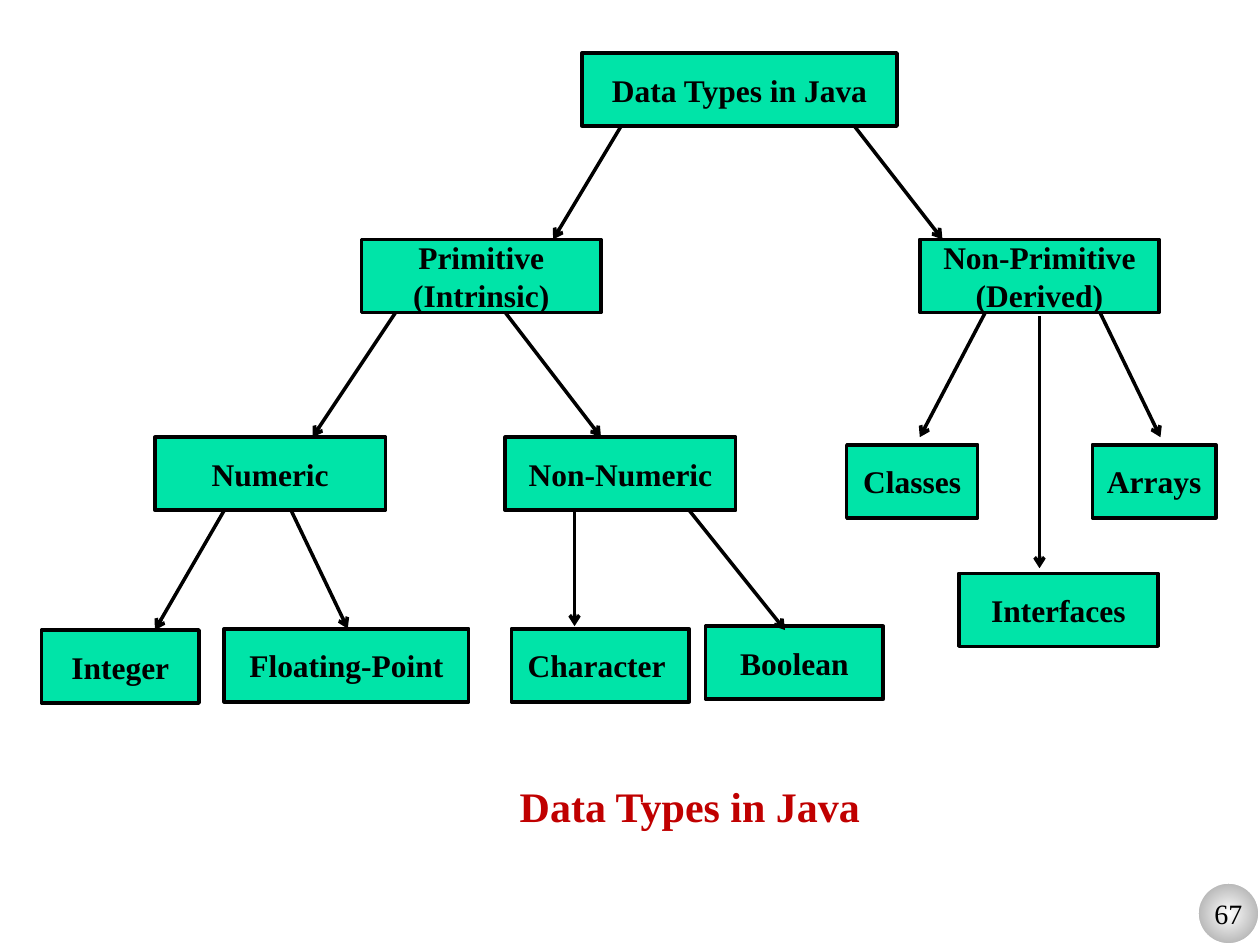
import pptx
import pptx.dml.color
import pptx.enum.shapes
import pptx.enum.text
import pptx.oxml
import pptx.oxml.ns
import pptx.util
from lxml import etree

Inches = pptx.util.Inches
Pt = pptx.util.Pt
SHAPES = pptx.enum.shapes.MSO_SHAPE
FONT = "Times New Roman"
BLACK, WHITE, GREEN, RED = "000000", "FFFFFF", "00E4A8", "C00000"
BOX_HEIGHT = 0.58

# Content: text, left, top, width of each type box
BOXES = [
    ("Data Types in Java", 4.62, 0.42, 2.5),
    ("Primitive\n(Intrinsic)", 2.87, 1.9, 1.9),
    ("Non-Primitive\n(Derived)", 7.3, 1.9, 1.9),
    ("Numeric", 1.23, 3.47, 1.83),
    ("Non-Numeric", 4.01, 3.47, 1.83),
    ("Classes", 6.72, 3.53, 1.04),
    ("Arrays", 8.67, 3.53, 0.98),
    ("Interfaces", 7.61, 4.55, 1.58),
    ("Integer", 0.33, 5, 1.25),
    ("Floating-Point", 1.78, 4.99, 1.94),
    ("Character ", 4.06, 4.99, 1.41),
    ("Boolean", 5.6, 4.97, 1.41),
]

# Arrows by level: start height, then (start x, end x, end y)
ARROWS = [
    (1, [(4.93, 4.39, 1.9), (6.78, 7.48, 1.9)]),
    (2.48, [(3.14, 2.48, 3.47), (4.01, 4.77, 3.47),
            (7.82, 7.3, 3.47), (8.73, 9.21, 3.47)]),
    (2.51, [(8.25, 8.25, 4.51)]),
    (4.05, [(1.78, 1.23, 5), (2.31, 2.76, 4.99),
            (4.56, 4.56, 4.97), (5.47, 6.23, 5)]),
]


def color(value):
    return pptx.dml.color.RGBColor.from_string(value)


def set_line(line, value):
    line.color.rgb = color(value)
    line.width = Pt(2)


def add_label(slide, kind, text, left, top, width, height,
              fill=None, line=BLACK, size=18, font_color=BLACK, bold=True):
    shape = slide.shapes.add_shape(
        kind, Inches(left), Inches(top), Inches(width), Inches(height))
    shape.shadow.inherit = False
    if fill:
        shape.fill.solid()
        shape.fill.fore_color.rgb = color(fill)
    else:
        shape.fill.background()
    set_line(shape.line, line)
    text_frame = shape.text_frame
    text_frame.text = text
    text_frame.word_wrap = True
    text_frame.vertical_anchor = pptx.enum.text.MSO_ANCHOR.MIDDLE
    for paragraph in text_frame.paragraphs:
        paragraph.alignment = pptx.enum.text.PP_ALIGN.CENTER
        for run in paragraph.runs:
            run.font.name = FONT
            run.font.size = Pt(size)
            run.font.bold = bold
            run.font.color.rgb = color(font_color)
    return shape


def add_arrow(slide, start_x, start_y, end_x, end_y):
    arrow = slide.shapes.add_connector(
        pptx.enum.shapes.MSO_CONNECTOR.STRAIGHT,
        Inches(start_x), Inches(start_y), Inches(end_x), Inches(end_y))
    set_line(arrow.line, BLACK)
    qn = pptx.oxml.ns.qn
    properties = arrow._element.spPr
    etree.SubElement(properties.find(qn("a:ln")), qn("a:tailEnd"), type="arrow")
    etree.SubElement(properties, qn("a:effectLst"))


def set_radial_fill(shape, center, edge):
    shape.fill.gradient()
    for stop, position, value in zip(shape.fill.gradient_stops, (0, 1), (center, edge)):
        stop.position = position
        stop.color.rgb = color(value)
    qn = pptx.oxml.ns.qn
    gradient = shape._element.spPr.find(qn("a:gradFill"))
    radial = etree.Element(qn("a:path"), path="circle")
    etree.SubElement(radial, qn("a:fillToRect"),
                     l="50000", t="50000", r="50000", b="50000")
    gradient.replace(gradient.find(qn("a:lin")), radial)


def main():
    presentation = pptx.Presentation()
    presentation.slide_width = Inches(10)
    presentation.slide_height = Inches(7.5)
    slide = presentation.slides.add_slide(presentation.slide_layouts[6])

    # Page number badge
    badge = add_label(slide, SHAPES.OVAL, "67", 9.5, 7, 0.5, 0.5,
                      line=WHITE, size=16, bold=False)
    badge.text_frame.word_wrap = False
    set_radial_fill(badge, WHITE, "979797")

    # Type tree
    for text, left, top, width in BOXES:
        add_label(slide, SHAPES.RECTANGLE, text, left, top, width, BOX_HEIGHT, fill=GREEN)
    for start_y, targets in ARROWS:
        for start_x, end_x, end_y in targets:
            add_arrow(slide, start_x, start_y, end_x, end_y)

    # Caption
    add_label(slide, SHAPES.RECTANGLE, "Data Types in Java", 3.35, 6.06, 4.25, 0.67,
              line=WHITE, size=24, font_color=RED)

    presentation.save("out.pptx")


if __name__ == "__main__":
    main()
